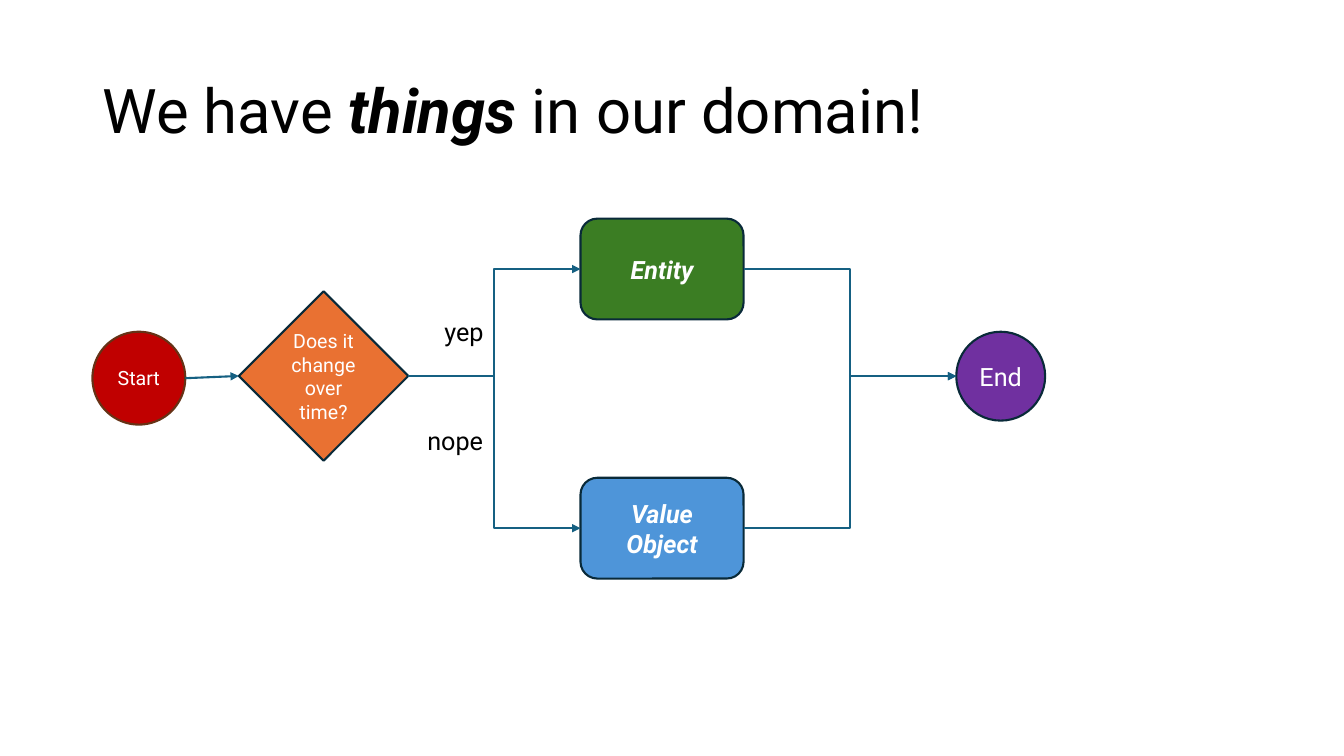
from lxml.etree import SubElement
from pptx import Presentation
from pptx.dml.color import RGBColor
from pptx.enum.shapes import MSO_CONNECTOR, MSO_SHAPE
from pptx.enum.text import MSO_ANCHOR, MSO_AUTO_SIZE, PP_ALIGN
from pptx.oxml.ns import qn
from pptx.util import Cm, Pt

FONT = "Roboto"
BLACK = RGBColor(0x00, 0x00, 0x00)
WHITE = RGBColor(0xFF, 0xFF, 0xFF)
RED = RGBColor(0xC0, 0x00, 0x00)
BROWN = RGBColor(0x66, 0x32, 0x16)
ORANGE = RGBColor(0xE9, 0x71, 0x32)
GREEN = RGBColor(0x3B, 0x7D, 0x23)
BLUE = RGBColor(0x4E, 0x95, 0xD9)
PURPLE = RGBColor(0x70, 0x30, 0xA0)
NAVY = RGBColor(0x09, 0x2A, 0x39)
TEAL = RGBColor(0x15, 0x60, 0x82)

TOP, LEFT, BOTTOM, RIGHT = range(4)


def style(p, size, color, emphasis=None):
    """Set the font of a paragraph."""
    p.font.name = FONT
    p.font.size = Pt(size)
    p.font.color.rgb = color
    p.font.bold = p.font.italic = emphasis


def add_title(s, parts):
    """Add the title from (text, emphasised) parts."""
    tf = s.shapes.add_textbox(Cm(2.33), Cm(1.02), Cm(29.21), Cm(3.68)).text_frame
    tf.word_wrap = True
    tf.vertical_anchor = MSO_ANCHOR.MIDDLE
    p = tf.paragraphs[0]
    p.line_spacing = 0.9
    style(p, 44, BLACK)
    for text, emphasis in parts:
        r = p.add_run()
        r.text = text
        r.font.bold = r.font.italic = emphasis


def add_label(s, text, x, y, w):
    """Add a branch label beside the decision."""
    tf = s.shapes.add_textbox(Cm(x), Cm(y), Cm(w), Cm(1.02)).text_frame
    tf.word_wrap = False
    tf.auto_size = MSO_AUTO_SIZE.SHAPE_TO_FIT_TEXT
    p = tf.paragraphs[0]
    p.text = text
    style(p, 18, BLACK)


def add_node(s, kind, text, x, y, w, h, fill, size=18, line=NAVY, emphasis=None):
    """Add a filled flowchart node with centred text."""
    sp = s.shapes.add_shape(kind, Cm(x), Cm(y), Cm(w), Cm(h))
    sp.shadow.inherit = False
    sp.fill.solid()
    sp.fill.fore_color.rgb = fill
    sp.line.color.rgb = line
    sp.line.width = Pt(1.5)
    tf = sp.text_frame
    tf.word_wrap = True
    tf.vertical_anchor = MSO_ANCHOR.MIDDLE
    p = tf.paragraphs[0]
    p.text = text
    p.alignment = PP_ALIGN.CENTER
    style(p, size, WHITE, emphasis)
    return sp


def side(sp, right):
    """Return the middle of the left or right side of a node."""
    return sp.left + (sp.width if right else 0), sp.top + sp.height // 2


def add_arrow(s, start, end, kind=MSO_CONNECTOR.ELBOW):
    """Join the right side of one node to the left side of another."""
    c = s.shapes.add_connector(kind, *side(start, True), *side(end, False))
    if start.auto_shape_type != MSO_SHAPE.OVAL:
        c.begin_connect(start, RIGHT)
    if end.auto_shape_type != MSO_SHAPE.OVAL:
        c.end_connect(end, LEFT)
    c.line.color.rgb = TEAL
    c.line.width = Pt(1.5)
    SubElement(c.line._get_or_add_ln(), qn("a:tailEnd"), type="triangle")
    SubElement(c._element.spPr, qn("a:effectLst"))


def main():
    """Build the slide and save it."""
    prs = Presentation()
    prs.slide_width, prs.slide_height = Cm(33.87), Cm(19.05)
    s = prs.slides.add_slide(prs.slide_layouts[6])

    add_title(s, [("We have ", None), ("things", True), (" in our domain!", None)])
    start = add_node(s, MSO_SHAPE.OVAL, "Start", 2.33, 8.36, 2.34, 2.34, RED, 14, BROWN)
    decision = add_node(s, MSO_SHAPE.DIAMOND, "Does it change over time?",
                        6.02, 7.34, 4.27, 4.27, ORANGE, 14)
    end = add_node(s, MSO_SHAPE.OVAL, "End", 24.1, 8.36, 2.24, 2.24, PURPLE)
    add_arrow(s, start, decision, MSO_CONNECTOR.STRAIGHT)

    for text, y, fill in [("Entity", 5.51, GREEN), ("Value Object", 12.04, BLUE)]:
        outcome = add_node(s, MSO_SHAPE.ROUNDED_RECTANGLE, text, 14.63, y, 4.11, 2.54,
                           fill, emphasis=True)
        add_arrow(s, decision, outcome)
        add_arrow(s, outcome, end)

    add_label(s, "yep", 10.95, 7.85, 1.55)
    add_label(s, "nope", 10.52, 10.59, 1.98)
    prs.save("out.pptx")


if __name__ == "__main__":
    main()
